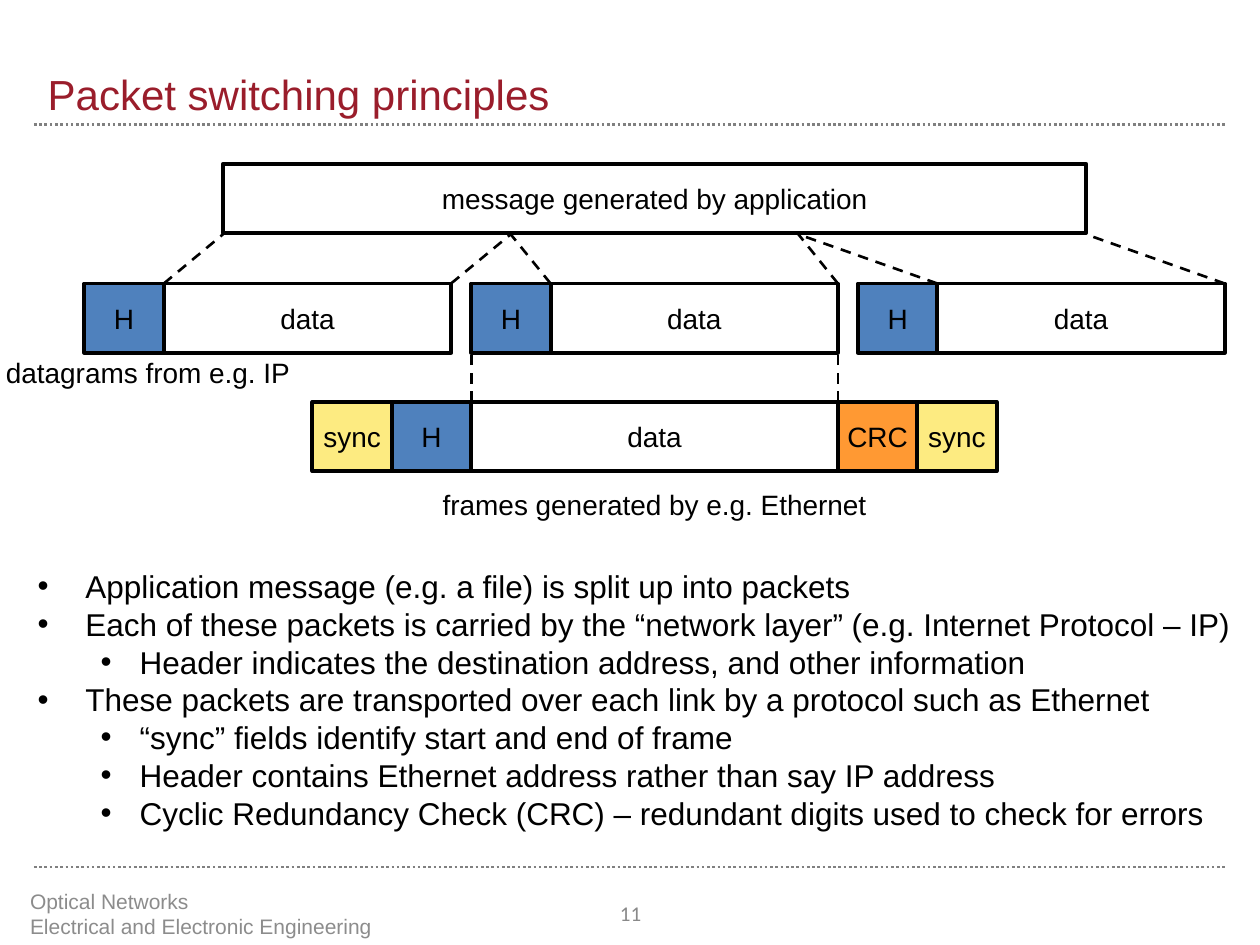
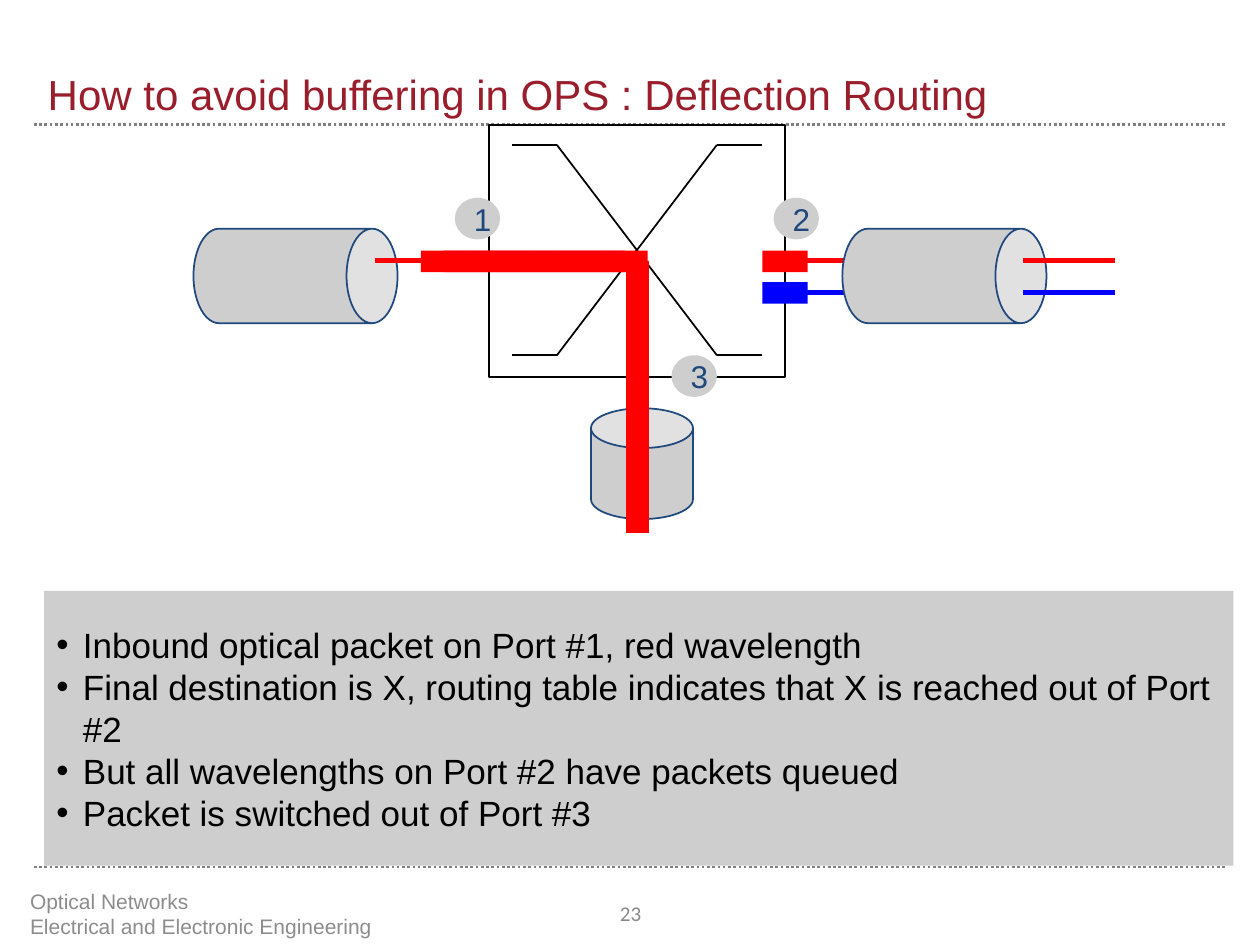
from lxml.etree import SubElement
from pptx import Presentation
from pptx.dml.color import RGBColor
from pptx.enum.dml import MSO_LINE
from pptx.enum.shapes import MSO_CONNECTOR, MSO_SHAPE
from pptx.enum.text import MSO_ANCHOR, PP_ALIGN
from pptx.oxml.ns import qn
from pptx.util import Inches, Pt

BLACK = RGBColor(0x00, 0x00, 0x00)
WHITE = RGBColor(0xFF, 0xFF, 0xFF)
CRIMSON = RGBColor(0x9A, 0x1D, 0x2B)
RULE_GRAY = RGBColor(0x80, 0x80, 0x80)
FOOTER_GRAY = RGBColor(0x8C, 0x8C, 0x8C)
NUMBER_GRAY = RGBColor(0x89, 0x89, 0x89)
SILVER = RGBColor(0xCE, 0xCE, 0xCE)
NAVY = RGBColor(0x1F, 0x49, 0x7D)
HEADER_BLUE = RGBColor(0x4F, 0x81, 0xBD)
SYNC_YELLOW = RGBColor(0xFD, 0xEB, 0x81)
CRC_ORANGE = RGBColor(0xFF, 0x99, 0x33)
RED = RGBColor(0xFF, 0x00, 0x00)
BLUE = RGBColor(0x00, 0x00, 0xFF)


class SlideWriter:
    def __init__(self, deck):
        self.deck = deck
        self.slide = None

    def start(self, title, number):
        self.slide = self.deck.slides.add_slide(self.deck.slide_layouts[6])
        for y in (0.99, 6.88):
            self.line((0.27, y), (9.73, y), RULE_GRAY, 1.5, MSO_LINE.ROUND_DOT)
        self.text(title, (0.28, 0, 9.45, 0.99), 24, CRIMSON, anchor=MSO_ANCHOR.BOTTOM)
        self.text("Optical Networks\vElectrical and Electronic Engineering",
                  (0.14, 7.05, 4.23, 0.4), 12, FOOTER_GRAY, anchor=MSO_ANCHOR.MIDDLE)
        self.text(str(number), (4.61, 7.05, 0.79, 0.4), 12, NUMBER_GRAY,
                  PP_ALIGN.CENTER, MSO_ANCHOR.MIDDLE, font="Calibri")

    def style(self, para, size, color, align=PP_ALIGN.LEFT, font="Arial"):
        para.alignment = align
        for span in para.runs:
            span.font.size = Pt(size)
            span.font.name = font
            span.font.color.rgb = color

    def text(self, words, place, size, color, align=PP_ALIGN.LEFT,
             anchor=MSO_ANCHOR.TOP, wrap=True, font="Arial"):
        box = self.slide.shapes.add_textbox(*map(Inches, place))
        frame = box.text_frame
        frame.word_wrap = wrap
        frame.vertical_anchor = anchor
        frame.text = words
        self.style(frame.paragraphs[0], size, color, align, font)
        return box

    def shape(self, kind, place, fill, outline=None, weight=1, rotation=0, bend=None):
        shape = self.slide.shapes.add_shape(kind, *map(Inches, place))
        shape.shadow.inherit = False
        shape.rotation = rotation
        shape.fill.solid()
        shape.fill.fore_color.rgb = fill
        if outline is None:
            shape.line.fill.background()
        else:
            shape.line.color.rgb = outline
            shape.line.width = Pt(weight)
        if bend is not None:
            shape.adjustments[0] = bend
        return shape

    def label(self, shape, words, size, color, align=PP_ALIGN.CENTER):
        frame = shape.text_frame
        frame.word_wrap = False
        frame.vertical_anchor = MSO_ANCHOR.MIDDLE
        frame.text = words
        self.style(frame.paragraphs[0], size, color, align)

    def field(self, words, left, top, width, fill=WHITE):
        box = self.shape(MSO_SHAPE.RECTANGLE, (left, top, width, 0.55), fill, BLACK, 2.25)
        self.label(box, words, 16, BLACK)

    def port(self, words, left, top):
        disc = self.shape(MSO_SHAPE.OVAL, (left, top, 0.36, 0.33), SILVER)
        self.label(disc, words, 18, NAVY, PP_ALIGN.LEFT)

    def can(self, place, bend, rotation=0):
        self.shape(MSO_SHAPE.CAN, place, SILVER, NAVY, 1, rotation, bend)

    def packet(self, left, top, color, width=0.36, height=0.17):
        self.shape(MSO_SHAPE.RECTANGLE, (left, top, width, height), color)

    def line(self, start, end, color, weight, dash=None):
        line = self.slide.shapes.add_connector(
            MSO_CONNECTOR.STRAIGHT, *map(Inches, (*start, *end)))
        line.line.color.rgb = color
        line.line.width = Pt(weight)
        if dash is not None:
            line.line.dash_style = dash
        SubElement(line._element.spPr, qn("a:effectLst"))

    def bullets(self, box, items, size, indents, spacing=1.0, before=0):
        frame = box.text_frame
        frame.word_wrap = True
        for index, (level, words) in enumerate(items):
            para = frame.add_paragraph() if index else frame.paragraphs[0]
            para.text = words
            para.level = level
            margin, hang = indents[level]
            props = para._p.get_or_add_pPr()
            props.set("marL", str(Inches(margin)))
            props.set("indent", str(-Inches(hang)))
            SubElement(props, qn("a:buFont")).set("typeface", "Arial")
            SubElement(props, qn("a:buChar")).set("char", "•")
            para.line_spacing = spacing
            para.space_before = Pt(before if index else 0)
            self.style(para, size, BLACK)


def packet_switching(writer):
    writer.start("Packet switching principles", 11)
    header, data, step = 0.63, 2.28, 3.07
    message_left, message_width = 1.77, 6.85
    slice_width = message_width / 3
    datagram_top, frame_top, field_height = 2.25, 3.19, 0.55

    writer.field("message generated by application", message_left, 1.3, message_width)
    for index in range(3):
        left = 0.67 + index * step
        writer.field("data", left + header, datagram_top, data)
        writer.field("H", left, datagram_top, header, HEADER_BLUE)
        for side in range(2):
            writer.line((left + header + side * data, datagram_top),
                        (message_left + (index + side) * slice_width, 1.86),
                        BLACK, 1.5, MSO_LINE.DASH)

    payload_left, payload_width = 0.67 + step, header + data
    payload_right = payload_left + payload_width
    writer.field("data", payload_left, frame_top, payload_width)
    for x in (payload_left, payload_right):
        writer.line((x, frame_top), (x, datagram_top + field_height),
                    BLACK, 1.5, MSO_LINE.DASH)
    for words, left, fill in (
            ("H", payload_left - header, HEADER_BLUE),
            ("sync", payload_left - 2 * header, SYNC_YELLOW),
            ("CRC", payload_right, CRC_ORANGE),
            ("sync", payload_right + header, SYNC_YELLOW)):
        writer.field(words, left, frame_top, header, fill)

    writer.text("datagrams from e.g. IP", (-0.08, 2.77, 2.48, 0.37), 16, BLACK,
                PP_ALIGN.RIGHT, wrap=False)
    writer.text("frames generated by e.g. Ethernet", (3.39, 3.82, 3.61, 0.37), 16, BLACK,
                PP_ALIGN.CENTER, wrap=False)
    body = writer.text("", (0.2, 4.51, 9.69, 2.34), 18, BLACK)
    writer.bullets(body, [
        (0, "Application message (e.g. a file) is split up into packets"),
        (0, "Each of these packets is carried by the “network layer” (e.g. Internet Protocol – IP)"),
        (1, "Header indicates the destination address, and other information"),
        (0, "These packets are transported over each link by a protocol such as Ethernet"),
        (1, "“sync” fields identify start and end of frame"),
        (1, "Header contains Ethernet address rather than say IP address"),
        (1, "Cyclic Redundancy Check (CRC) – redundant digits used to check for errors"),
    ], 18, [(0.38, 0.38), (0.81, 0.31)], 0.8, 4.3)


def deflection_routing(writer):
    writer.start("How to avoid buffering in OPS : Deflection Routing", 23)
    red_y, blue_y = 2.07, 2.32
    channels = ((red_y, RED), (blue_y, BLUE))
    upper, lower = 1.15, 2.82

    for y, color in channels:
        writer.line((6.23, y), (6.95, y), color, 3)
    writer.shape(MSO_SHAPE.RECTANGLE, (3.88, 0.99, 2.35, 2), WHITE, BLACK)
    for left in (1.97, 7.12):
        writer.can((left, 1.38, 0.75, 1.62), 0.54, 90)
    writer.line((2.98, red_y), (3.88, red_y), RED, 3)
    for y, opposite in ((upper, lower), (lower, upper)):
        writer.line((4.06, y), (4.42, y), BLACK, 1)
        writer.line((4.42, y), (5.69, opposite), BLACK, 1)
        writer.line((5.69, y), (6.05, y), BLACK, 1)

    for y, color in channels:
        writer.line((8.12, y), (8.85, y), color, 3)
        writer.packet(6.05, y - 0.08, color)
    writer.can((4.69, 3.24, 0.81, 0.88), 0.39)
    for words, left, top in (("1", 3.61, 1.57), ("2", 6.14, 1.57), ("3", 5.33, 2.82)):
        writer.port(words, left, top)

    for index in range(9):
        writer.packet(3.34 + index * 0.18, 1.99, RED)
    for index in range(12):
        writer.packet(4.97, 2.07 + index * 1.83 / 11, RED, 0.18, 0.33)

    panel = writer.shape(MSO_SHAPE.RECTANGLE, (0.35, 4.69, 9.44, 2.18), SILVER)
    panel.text_frame.vertical_anchor = MSO_ANCHOR.MIDDLE
    writer.bullets(panel, [
        (0, "Inbound optical packet on Port #1, red wavelength"),
        (0, "Final destination is X, routing table indicates that X is reached out of Port #2"),
        (0, "But all wavelengths on Port #2 have packets queued"),
        (0, "Packet is switched out of Port #3"),
    ], 20, [(0.21, 0.21)])


def main():
    deck = Presentation()
    deck.slide_width = Inches(10)
    deck.slide_height = Inches(7.5)
    writer = SlideWriter(deck)
    packet_switching(writer)
    deflection_routing(writer)
    deck.save("out.pptx")


if __name__ == "__main__":
    main()
